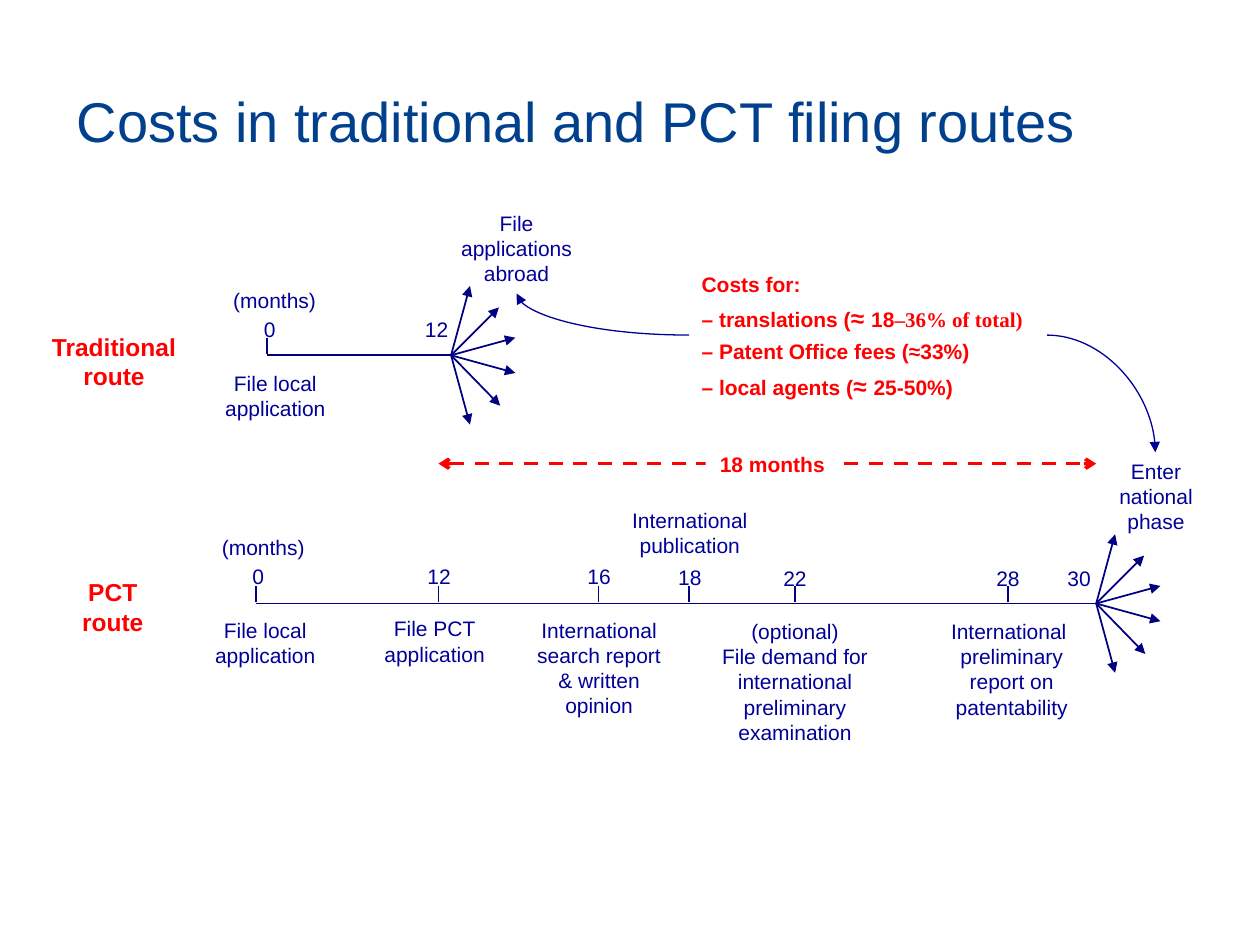
from typing import NamedTuple

from lxml.etree import SubElement
from pptx import Presentation
from pptx.dml.color import RGBColor
from pptx.enum.dml import MSO_LINE
from pptx.enum.shapes import MSO_CONNECTOR as Conn, MSO_SHAPE as Shape
from pptx.enum.text import MSO_ANCHOR as Anchor, PP_ALIGN as Align
from pptx.oxml.ns import qn
from pptx.util import Inches, Pt

TITLE_BLUE = RGBColor(0x00, 0x40, 0x8C)
TEXT_BLUE = RGBColor(0x00, 0x00, 0x99)
LINE_BLUE = RGBColor(0x00, 0x00, 0x80)
RED = RGBColor(0xFF, 0x00, 0x00)
WHITE = RGBColor(0xFF, 0xFF, 0xFF)

COLS, ROWS = 100, 75
CELL = Inches(10) // COLS
TICK = 1.3
FAN_TIPS = [(1.5, -5.5), (3.8, -3.8), (5.1, -1.4), (5.1, 1.4), (3.9, 4), (1.5, 5.5)]


class Style(NamedTuple):
    size: float
    color: RGBColor
    bold: bool = False
    align: Align = Align.CENTER
    anchor: Anchor = Anchor.TOP
    space_after: float = 0


class Label(NamedTuple):
    """Text in a box given in grid columns and rows; each line is a paragraph."""
    text: str
    col: float
    row: float
    width: float
    height: float
    wrap: bool = False


class Route(NamedTuple):
    start: float
    end: float
    row: float
    ticks: list[float]


TITLE = Style(32, TITLE_BLUE, align=Align.LEFT, anchor=Anchor.MIDDLE)
NOTE = Style(12, TEXT_BLUE)
ROUTE = Style(14, RED, True, anchor=Anchor.MIDDLE)
COST = Style(12, RED, True, Align.LEFT, Anchor.MIDDLE, 3.7)
SPAN = Style(12, RED, True, anchor=Anchor.MIDDLE)

NOTES = [
    Label("(months)", 17.5, 22.3, 8.6, 3),
    Label("0", 19.9, 24.6, 3, 3),
    Label("12", 32.7, 24.6, 3.9, 3),
    Label("File local\napplication", 15.9, 28.9, 11.9, 5),
    Label("File applications abroad", 35, 16.2, 12, 7, True),
    Label("(months)", 16.6, 41.9, 8.6, 3),
    Label("0", 19, 44.2, 3, 3),
    Label("12", 32.9, 44.2, 3.9, 3),
    Label("16", 45.6, 44.2, 3.9, 3),
    Label("18", 52.8, 44.3, 3.9, 3),
    Label("22", 60.3, 44.4, 5.6, 3),
    Label("28", 77.2, 44.4, 5.6, 3),
    Label("30", 83.3, 44.4, 4.7, 3),
    Label("International\npublication", 47.5, 39.8, 14.5, 5),
    Label("Enter\nnational\nphase", 87.3, 35.9, 8.9, 7),
    Label("File local\napplication", 15.1, 48.5, 11.9, 5),
    Label("File PCT\napplication", 28.5, 48.4, 12, 5),
    Label("International search report & written opinion", 40.9, 48.5, 13.3, 9, True),
    Label("(optional)\nFile demand for international preliminary examination",
          55.4, 48.6, 15.4, 11, True),
    Label("International \npreliminary report on patentability",
          73.6, 48.6, 13.4, 9, True),
]
ROUTE_NAMES = [
    Label("Traditional route", 1.2, 25.8, 15.7, 5.7, True),
    Label("PCT route", 3.5, 45.3, 10.9, 5.7, True),
]
ROUTES = [
    Route(21.2, 35.8, 28.2, [21.2]),
    Route(20.3, 87, 47.9, [20.3, 34.8, 47.5, 54.7, 63.1, 80]),
]
COSTS = Label("Costs for:\n– translations (≈ 18–36% of total)\n"
              "– Patent Office fees (≈33%)\n– local agents (≈ 25-50%)",
              54.7, 21, 28.4, 11.3, True)


def at(cell: float) -> int:
    return round(cell * CELL)


def box(label: Label) -> tuple[int, ...]:
    return tuple(at(v) for v in label[1:5])


def font_run(r, style: Style, size: float = 0, name: str = "Arial") -> None:
    r.font.name = name
    r.font.size = Pt(size or style.size)
    r.font.bold = style.bold
    r.font.color.rgb = style.color


def write(sp, label: Label, style: Style) -> None:
    tf = sp.text_frame
    tf.text = label.text
    tf.word_wrap = label.wrap
    tf.vertical_anchor = style.anchor
    for p in tf.paragraphs:
        p.alignment = style.align
        p.space_after = Pt(style.space_after)
        for r in p.runs:
            font_run(r, style)


def add_label(shapes, label: Label, style: Style):
    sp = shapes.add_textbox(*box(label))
    write(sp, label, style)
    return sp


def add_line(shapes, x1: float, y1: float, x2: float, y2: float,
             color: RGBColor = LINE_BLUE, width: float = 1,
             head: str = "", tail: str = ""):
    line = shapes.add_connector(Conn.STRAIGHT, at(x1), at(y1), at(x2), at(y2))
    line.line.color.rgb = color
    line.line.width = Pt(width)
    ln = line.line._get_or_add_ln()
    for tag, kind in (("a:headEnd", head), ("a:tailEnd", tail)):
        if kind:
            SubElement(ln, qn(tag)).set("type", kind)
    SubElement(line._element.spPr, qn("a:effectLst"))
    return line


def add_curve(shapes, x1: float, y1: float, x2: float, y2: float) -> None:
    """Quarter bend that leaves level and arrives upright."""
    curve = add_line(shapes, x1, y1, x2, y2, TEXT_BLUE, 0.75, tail="triangle")
    curve._element.spPr.find(qn("a:prstGeom")).set("prst", "curvedConnector2")


def add_route(shapes, route: Route) -> None:
    add_line(shapes, route.start, route.row, route.end, route.row)
    for col in route.ticks:
        add_line(shapes, col, route.row - 0.1, col, route.row - 0.1 - TICK)
    fan = shapes.add_group_shape().shapes
    for dx, dy in FAN_TIPS:
        add_line(fan, route.end, route.row, route.end + dx, route.row + dy,
                 tail="triangle")


def add_costs(shapes) -> None:
    tf = add_label(shapes, COSTS, COST).text_frame
    mixed = {
        1: [("– translations (", 12, "Arial"), ("≈ ", 14, "Arial"),
            ("18", 12, "Arial"), ("–36% of total)", 12, "Times New Roman")],
        3: [("– local agents (", 12, "Arial"), ("≈ ", 14, "Arial"),
            ("25-50%)", 12, "Arial")],
    }
    for index, parts in mixed.items():
        p = tf.paragraphs[index]
        p.clear()
        for text, size, name in parts:
            r = p.add_run()
            r.text = text
            font_run(r, COST, size, name)


def add_span(shapes) -> None:
    group = shapes.add_group_shape().shapes
    line = add_line(group, 34.8, 36.8, 87, 36.8, RED, 2, "arrow", "arrow")
    line.line.dash_style = MSO_LINE.DASH
    label = Label("18 months", 56, 35.3, 10.6, 3, True)
    sp = group.add_shape(Shape.RECTANGLE, *box(label))
    sp.shadow.inherit = False
    sp.fill.solid()
    sp.fill.fore_color.rgb = WHITE
    sp.line.fill.background()
    write(sp, label, SPAN)


def main() -> None:
    prs = Presentation()
    prs.slide_width, prs.slide_height = COLS * CELL, ROWS * CELL
    shapes = prs.slides.add_slide(prs.slide_layouts[6]).shapes
    add_label(shapes, Label("Costs in traditional and PCT filing routes",
                            5.1, 4.4, 90, 10.3, True), TITLE)
    for route in ROUTES:
        add_route(shapes, route)
    for label in NOTES:
        add_label(shapes, label, NOTE)
    for label in ROUTE_NAMES:
        add_label(shapes, label, ROUTE)
    add_costs(shapes)
    add_curve(shapes, 83.1, 26.6, 91.7, 35.9)
    add_curve(shapes, 54.7, 26.6, 41, 23.3)
    add_span(shapes)
    prs.save("out.pptx")


if __name__ == "__main__":
    main()
